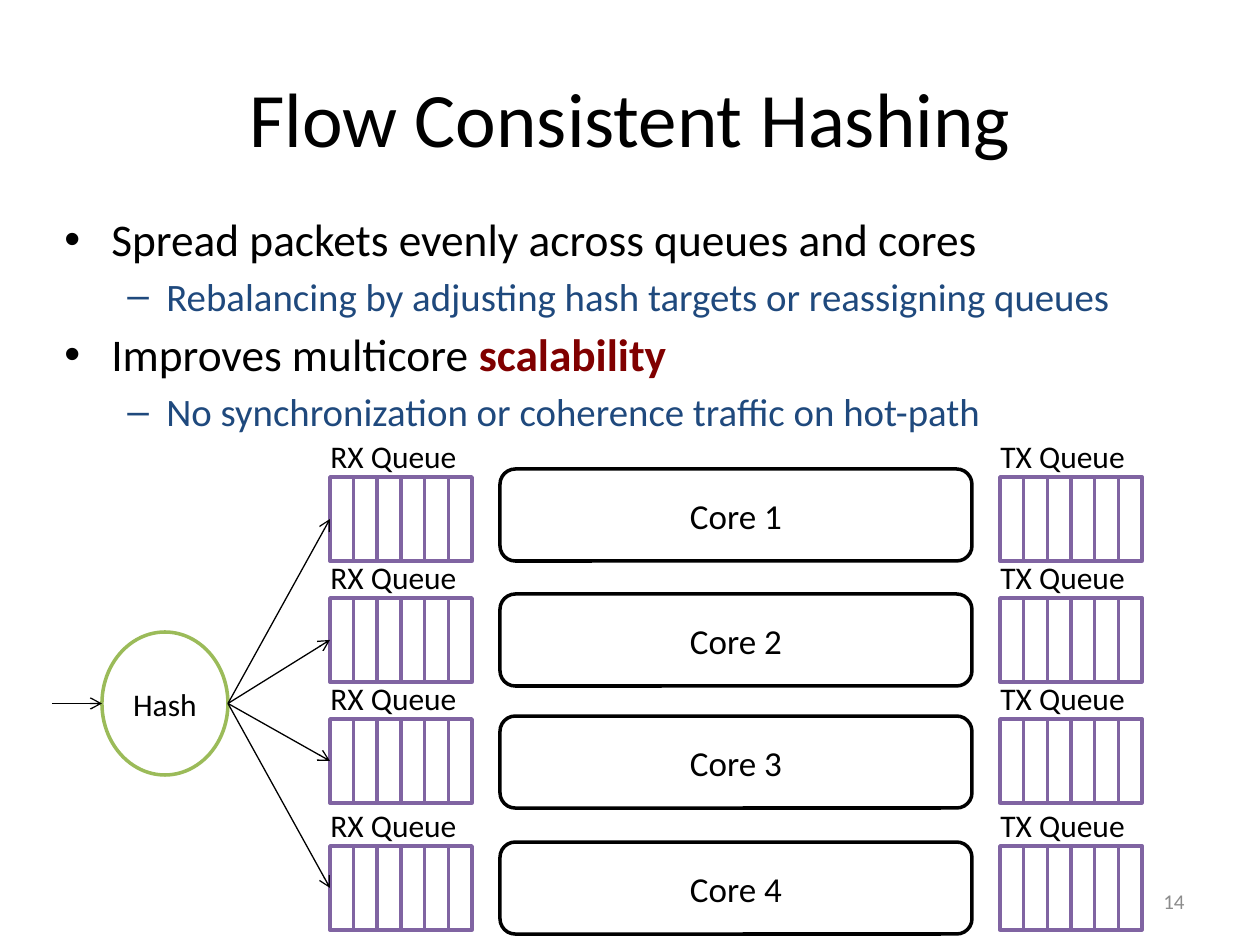
from lxml import etree
from pptx import Presentation
from pptx.dml.color import RGBColor
from pptx.enum.shapes import MSO_CONNECTOR, MSO_SHAPE
from pptx.enum.text import MSO_ANCHOR, PP_ALIGN
from pptx.oxml.ns import qn
from pptx.util import Emu, Pt

BLACK = RGBColor(0x00, 0x00, 0x00)
WHITE = RGBColor(0xFF, 0xFF, 0xFF)
BLUE = RGBColor(0x1F, 0x49, 0x7D)
MAROON = RGBColor(0x80, 0x00, 0x00)
PURPLE = RGBColor(0x80, 0x64, 0xA2)
GREEN = RGBColor(0x9B, 0xBB, 0x59)
GRAY = RGBColor(0x8C, 0x8C, 0x8C)
FONT = "Calibri"

TITLE = "Flow Consistent Hashing"
# level, plain text, bold highlight
BULLETS = [
    (0, "Spread packets evenly across queues and cores", ""),
    (1, "Rebalancing by adjusting hash targets or reassigning queues", ""),
    (0, "Improves multicore ", "scalability"),
    (1, "No synchronization or coherence traffic on hot-path", ""),
]
# bullet, size, colour, left margin px, hanging indent px
LEVELS = [("•", 25.9, BLACK, 47, 47), ("–", 22.2, BLUE, 102, 39)]
# core label, queue top, core top
ROWS = [("Core 1", 477, 469), ("Core 2", 598, 594),
        ("Core 3", 719, 716), ("Core 4", 846, 842)]
PAGE = "14"

RX_X, TX_X, CORE_X = 330, 1000, 500
QUEUE_W, QUEUE_H, SLOTS = 142, 84, 6
CORE_W, CORE_H = 472, 92
HASH_X, HASH_Y, HASH_W, HASH_H = 102, 632, 126, 143


def px(n):
    return Emu(round(n * 914400 / 126))


def set_text(tf, text, size, color=BLACK, align=PP_ALIGN.LEFT, anchor=MSO_ANCHOR.TOP):
    tf.vertical_anchor = anchor
    p = tf.paragraphs[0]
    p.text, p.alignment = text, align
    p.font.name, p.font.size, p.font.color.rgb = FONT, Pt(size), color


def add_text(s, x, y, w, h, text, size, wrap=True, **style):
    tf = s.shapes.add_textbox(px(x), px(y), px(w), px(h)).text_frame
    tf.word_wrap = wrap
    set_text(tf, text, size, **style)


def add_box(s, kind, x, y, w, h, line, text="", size=18):
    sp = s.shapes.add_shape(kind, px(x), px(y), px(w), px(h))
    sp.shadow.inherit = False
    sp.fill.solid()
    sp.fill.fore_color.rgb = WHITE
    sp.line.color.rgb, sp.line.width = line, Pt(2)
    if text:
        set_text(sp.text_frame, text, size, align=PP_ALIGN.CENTER, anchor=MSO_ANCHOR.MIDDLE)
    return sp


def add_queue(s, x, y, label):
    """Draw a labelled row of slots and return the first slot."""
    pitch = QUEUE_W / SLOTS
    slots = [add_box(s, MSO_SHAPE.RECTANGLE, x + i * pitch, y, pitch, QUEUE_H, PURPLE)
             for i in range(SLOTS)]
    add_text(s, x - 12, y - 46, 152, 50, label, 18, wrap=False)
    return slots[0]


def add_arrow(s, x1, y1, x2, y2):
    line = s.shapes.add_connector(MSO_CONNECTOR.STRAIGHT, px(x1), px(y1), px(x2), px(y2))
    line.line.color.rgb, line.line.width = BLACK, Pt(0.75)
    etree.SubElement(line.line._get_or_add_ln(), qn("a:tailEnd"), type="arrow")
    etree.SubElement(line._element.spPr, qn("a:effectLst"))
    return line


def add_bullets(s):
    tf = s.shapes.add_textbox(px(52), px(205), px(1157), px(242)).text_frame
    tf.word_wrap = True
    for i, (level, text, highlight) in enumerate(BULLETS):
        bullet, size, color, margin, hang = LEVELS[level]
        p = tf.paragraphs[0] if i == 0 else tf.add_paragraph()
        p.level = level
        p.space_before = Pt(round(size * 0.17, 1))
        p.font.name, p.font.size, p.font.color.rgb = FONT, Pt(size), color
        p.add_run().text = text
        if highlight:
            r = p.add_run()
            r.text, r.font.bold = highlight, True
            r.font.color.rgb = MAROON
        pPr = p._p.get_or_add_pPr()
        pPr.set("marL", str(px(margin)))
        pPr.set("indent", str(-px(hang)))
        mark = etree.Element(qn("a:buChar"), char=bullet)
        face = etree.Element(qn("a:buFont"), typeface="Arial")
        pPr.find(qn("a:defRPr")).addprevious(face)
        face.addnext(mark)


def main():
    prs = Presentation()
    prs.slide_width, prs.slide_height = px(1260), px(945)
    s = prs.slides.add_slide(prs.slide_layouts[6])

    add_text(s, 63, 38, 1134, 158, TITLE, 44,
             align=PP_ALIGN.CENTER, anchor=MSO_ANCHOR.MIDDLE)
    add_bullets(s)

    targets = []
    for core, queue_y, core_y in ROWS:
        targets.append(add_queue(s, RX_X, queue_y, "RX Queue"))
        add_box(s, MSO_SHAPE.ROUNDED_RECTANGLE, CORE_X, core_y, CORE_W, CORE_H,
                BLACK, core, 20)
        add_queue(s, TX_X, queue_y, "TX Queue")

    add_box(s, MSO_SHAPE.OVAL, HASH_X, HASH_Y, HASH_W, HASH_H, GREEN, "Hash")
    mid_y = HASH_Y + HASH_H / 2
    for target, (_, queue_y, _) in zip(targets, ROWS):
        arrow = add_arrow(s, HASH_X + HASH_W, mid_y, RX_X, queue_y + QUEUE_H / 2)
        arrow.end_connect(target, 1)
    add_arrow(s, 52, mid_y, HASH_X, mid_y)

    add_text(s, 903, 876, 294, 50, PAGE, 12, color=GRAY,
             align=PP_ALIGN.RIGHT, anchor=MSO_ANCHOR.MIDDLE)
    prs.save("out.pptx")


if __name__ == "__main__":
    main()
